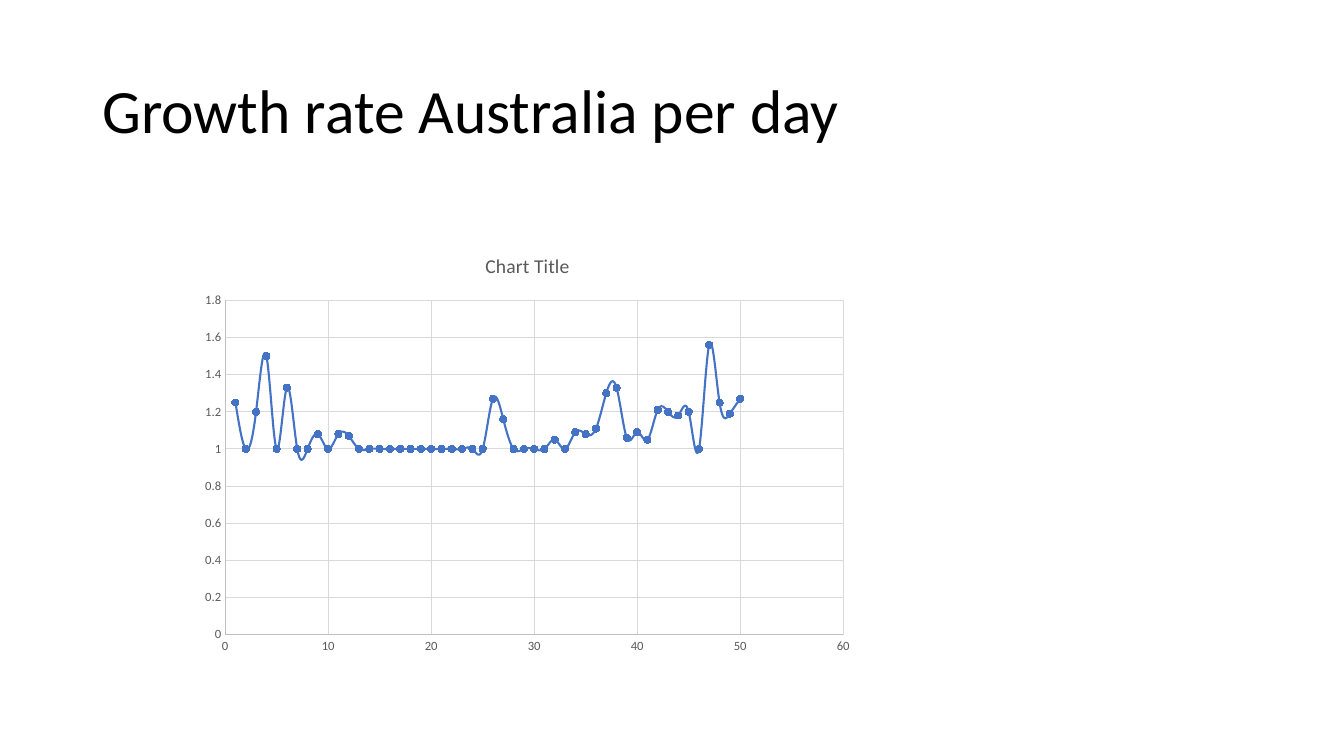
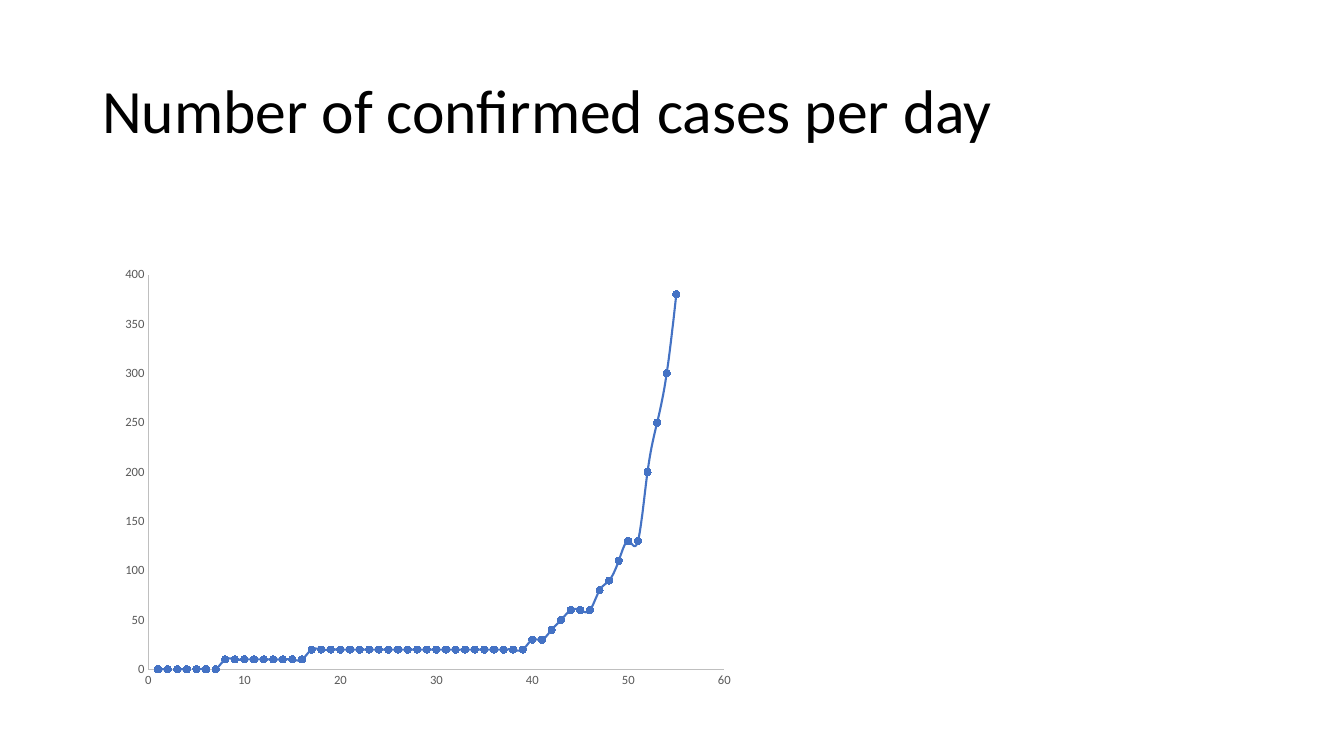
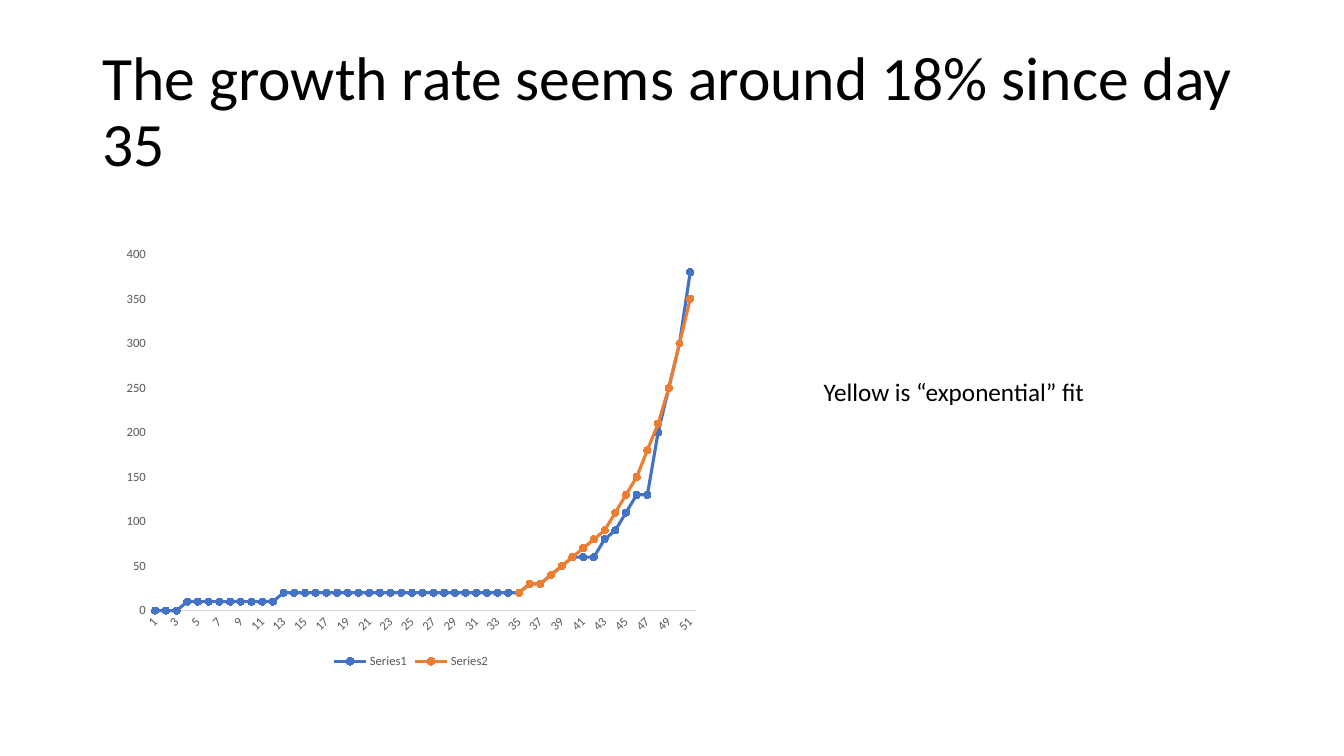
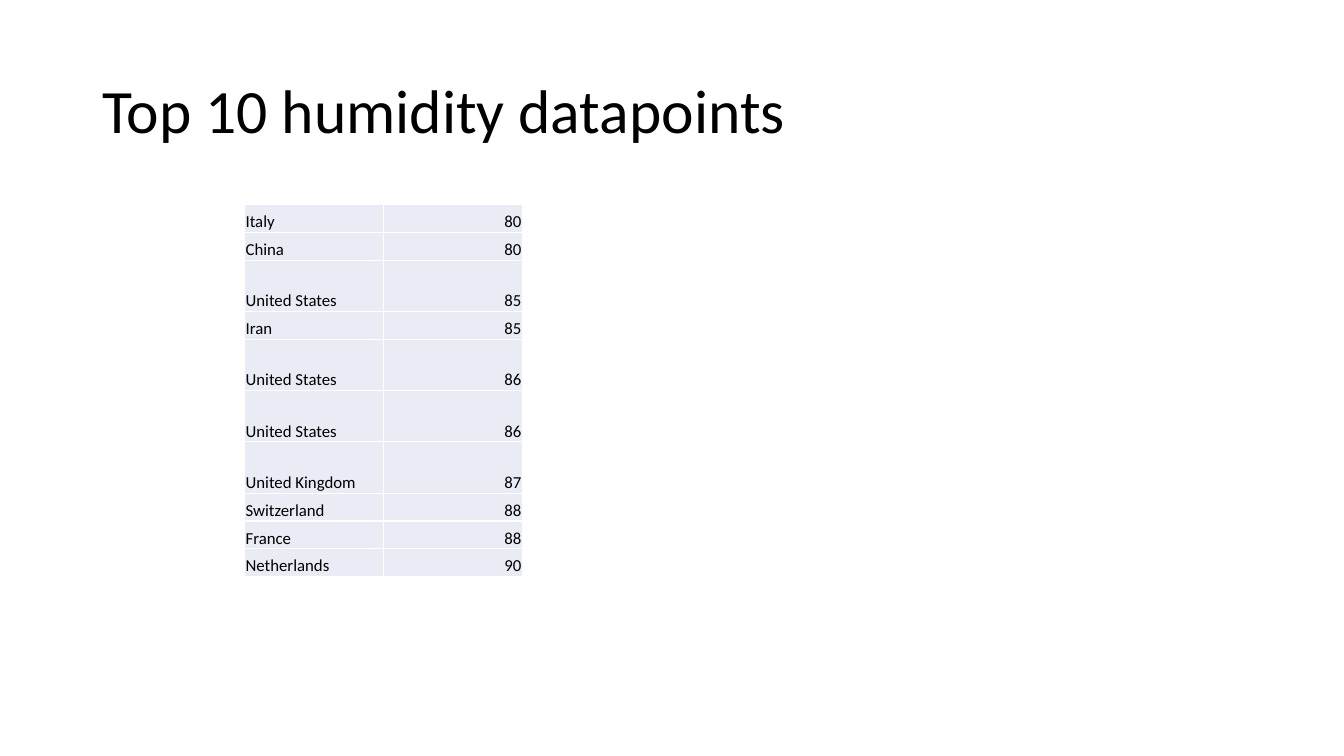
from dataclasses import dataclass
from itertools import pairwise

from lxml import etree
from pptx import Presentation
from pptx.chart.data import CategoryChartData, XyChartData
from pptx.dml.color import RGBColor
from pptx.enum.chart import (
    XL_CHART_TYPE, XL_LEGEND_POSITION, XL_MARKER_STYLE, XL_TICK_MARK)
from pptx.enum.text import MSO_ANCHOR, PP_ALIGN
from pptx.oxml.ns import qn
from pptx.util import Pt

SCATTER = XL_CHART_TYPE.XY_SCATTER_SMOOTH
LINE = XL_CHART_TYPE.LINE_MARKERS
LEGEND_BOTTOM = XL_LEGEND_POSITION.BOTTOM
CIRCLE = XL_MARKER_STYLE.CIRCLE
NO_TICK = XL_TICK_MARK.NONE
MIDDLE, BOTTOM = MSO_ANCHOR.MIDDLE, MSO_ANCHOR.BOTTOM
LEFT, RIGHT = PP_ALIGN.LEFT, PP_ALIGN.RIGHT


@dataclass(frozen=True)
class Theme:
    font: str = "Calibri"
    text: str = "000000"
    muted: str = "595959"
    axis: str = "BFBFBF"
    grid: str = "D9D9D9"
    border: str = "FFFFFF"
    cell: str = "E9EBF5"
    series: tuple = ("4472C4", "ED7D31")
    title_size: float = 44
    note_size: float = 18
    chart_title_size: float = 14
    table_size: float = 12
    chart_size: float = 10
    label_size: float = 9
    hairline: float = 0.75
    marker_size: int = 5


THEME = Theme()

# Confirmed cases from the first reported day on
CASES = ([4, 5, 5, 6, 9, 9, 12, 12, 12, 13, 13, 14] + [15] * 14 + [19]
         + [22] * 5 + [23, 23, 25, 27, 30, 39, 52, 55, 60, 63, 76, 91, 107,
                       128, 128, 200, 250, 297, 377])
DAYS_BEFORE_FIRST_CASE = 4
FIT_START_DAY = 35
FIT_GROWTH = 1.18

HUMIDITY = [
    ("Italy", 80), ("China", 80), ("United States", 85), ("Iran", 85),
    ("United States", 86), ("United States", 86), ("United Kingdom", 87),
    ("Switzerland", 88), ("France", 88), ("Netherlands", 90),
]
ROW_HEIGHT, TALL_ROW_HEIGHT, COLUMN_WIDTH = 19.8, 36.7, 99.2


def points(*lengths):
    return [Pt(length) for length in lengths]


def rgb(value):
    return RGBColor.from_string(value)


def to_tens(values):
    return [round(value, -1) for value in values]


def style_font(font, size, color=THEME.text):
    font.name = THEME.font
    font.size = Pt(size)
    font.bold = False
    font.color.rgb = rgb(color)


def style_line(line, color, width=THEME.hairline):
    """Colour a line, or hide it when there is no colour."""
    if color is None:
        line.fill.background()
        return
    line.color.rgb = rgb(color)
    line.width = Pt(width)


def add_text(slide, box, text, size, wrap=True):
    frame = slide.shapes.add_textbox(*points(*box)).text_frame
    frame.word_wrap = wrap
    paragraph = frame.paragraphs[0]
    paragraph.text = text
    style_font(paragraph.font, size)
    return frame


def add_titled_slide(prs, title):
    slide = prs.slides.add_slide(prs.slide_layouts[6])
    frame = add_text(slide, (66, 28.75, 828, 104.4), title, THEME.title_size)
    frame.vertical_anchor = MIDDLE
    frame.paragraphs[0].line_spacing = 0.9
    return slide


def style_axis(axis, line_color, grid):
    axis.major_tick_mark = axis.minor_tick_mark = NO_TICK
    style_font(axis.tick_labels.font, THEME.label_size, THEME.muted)
    style_line(axis.format.line, line_color)
    axis.has_major_gridlines = grid
    if grid:
        style_line(axis.major_gridlines.format.line, THEME.grid)


def set_smooth(series, smooth):
    """Set the curve flag in XML, as scatter series have no property for it."""
    series._element.find(qn("c:smooth")).set("val", str(int(smooth)))


def add_chart(slide, kind, box, data, axis_colors, line_width,
              smooth=False, grid=False):
    """Add a chart; axis_colors holds the horizontal, then the vertical axis."""
    chart = slide.shapes.add_chart(kind, *points(*box), data).chart
    style_font(chart.font, THEME.chart_size)
    chart.has_title = False
    chart.has_legend = False
    for axis, color in zip((chart.category_axis, chart.value_axis), axis_colors):
        style_axis(axis, color, grid)
    plot = chart.plots[0]
    plot.vary_by_categories = False
    for series, color in zip(plot.series, THEME.series):
        set_smooth(series, smooth)
        style_line(series.format.line, color, line_width)
        marker = series.marker
        marker.style = CIRCLE
        marker.size = THEME.marker_size
        marker.format.fill.solid()
        marker.format.fill.fore_color.rgb = rgb(color)
        style_line(marker.format.line, color)
    return chart


def add_daily_scatter(slide, box, values, grid=False):
    data = XyChartData()
    series = data.add_series("Series 1")
    for day, value in enumerate(values, 1):
        series.add_data_point(day, value)
    return add_chart(slide, SCATTER, box, data, (THEME.axis, THEME.axis),
                     1.5, smooth=True, grid=grid)


def slant_category_labels(chart):
    labels = chart._chartSpace.find(".//" + qn("c:catAx")).find(qn("c:txPr"))
    labels.find(qn("a:bodyPr")).set("rot", "-2700000")


def add_fit_chart(slide, box):
    day_count = len(CASES)
    start = CASES[FIT_START_DAY - 1]
    fit = [start * FIT_GROWTH ** step
           for step in range(day_count - FIT_START_DAY + 1)]
    data = CategoryChartData()
    data.categories = [str(day) for day in range(1, day_count + 1)]
    data.add_series("Series1", to_tens(CASES))
    data.add_series("Series2", [None] * (FIT_START_DAY - 1) + to_tens(fit))
    chart = add_chart(slide, LINE, box, data, (THEME.grid, None), 2.25)
    chart.has_legend = True
    chart.legend.position = LEGEND_BOTTOM
    chart.legend.include_in_layout = False
    style_font(chart.legend.font, THEME.label_size, THEME.muted)
    slant_category_labels(chart)


def add_cell_borders(cell):
    properties = cell._tc.get_or_add_tcPr()
    for side in ("a:lnL", "a:lnR", "a:lnT", "a:lnB"):
        border = etree.SubElement(properties, qn(side), w=str(Pt(1)))
        fill = etree.SubElement(border, qn("a:solidFill"))
        etree.SubElement(fill, qn("a:srgbClr"), val=THEME.border)


def fill_cell(cell, text, alignment):
    cell.margin_left = cell.margin_right = cell.margin_top = Pt(0.75)
    cell.margin_bottom = 0
    cell.vertical_anchor = BOTTOM
    add_cell_borders(cell)
    cell.fill.solid()
    cell.fill.fore_color.rgb = rgb(THEME.cell)
    paragraph = cell.text_frame.paragraphs[0]
    paragraph.text = text
    paragraph.alignment = alignment
    style_font(paragraph.font, THEME.table_size)


def add_humidity_table(slide, left, top):
    heights = [TALL_ROW_HEIGHT if country.startswith("United") else ROW_HEIGHT
               for country, _ in HUMIDITY]
    table = slide.shapes.add_table(
        len(HUMIDITY), 2,
        *points(left, top, 2 * COLUMN_WIDTH, sum(heights))).table
    table.first_row = table.horz_banding = False
    for column in table.columns:
        column.width = Pt(COLUMN_WIDTH)
    for row, height, (country, humidity) in zip(table.rows, heights, HUMIDITY):
        row.height = Pt(height)
        fill_cell(row.cells[0], country, LEFT)
        fill_cell(row.cells[1], str(humidity), RIGHT)


def add_growth_slide(prs):
    slide = add_titled_slide(prs, "Growth rate Australia per day")
    growth = [round(today / before, 2) for before, today in pairwise(CASES)]
    chart = add_daily_scatter(slide, (137, 167.6, 479.5, 305.2), growth,
                              grid=True)
    chart.has_title = True
    heading = chart.chart_title.text_frame.paragraphs[0]
    heading.text = "Chart Title"
    style_font(heading.font, THEME.chart_title_size, THEME.muted)


def add_cases_slide(prs):
    slide = add_titled_slide(prs, "Number of confirmed cases per day")
    add_daily_scatter(slide, (80.5, 184.7, 450.5, 313),
                      to_tens([0] * DAYS_BEFORE_FIRST_CASE + CASES))


def add_fit_slide(prs):
    slide = add_titled_slide(
        prs, "The growth rate seems around 18% since day 35")
    add_fit_chart(slide, (82, 170.3, 423.3, 310.2))
    add_text(slide, (581.2, 265, 203, 29), "Yellow is “exponential” fit",
             THEME.note_size, wrap=False)


def add_humidity_slide(prs):
    slide = add_titled_slide(prs, "Top 10 humidity datapoints")
    add_humidity_table(slide, 174.7, 146.2)


def main():
    prs = Presentation()
    prs.slide_width, prs.slide_height = points(960, 540)
    add_growth_slide(prs)
    add_cases_slide(prs)
    add_fit_slide(prs)
    add_humidity_slide(prs)
    prs.save("out.pptx")


if __name__ == "__main__":
    main()
